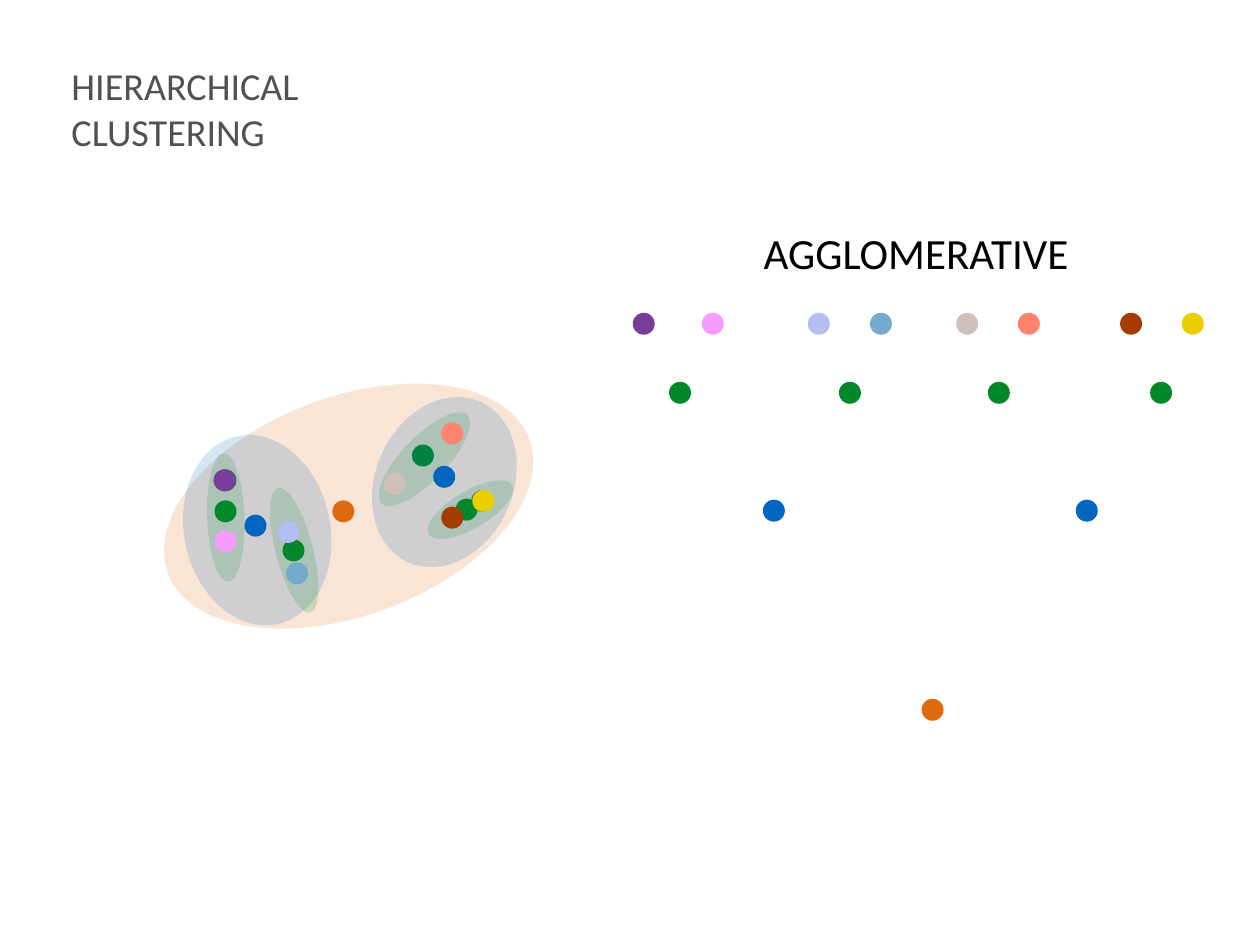
from lxml import etree
from pptx import Presentation
from pptx.dml.color import RGBColor
from pptx.enum.shapes import MSO_SHAPE
from pptx.enum.text import MSO_ANCHOR
from pptx.oxml.ns import qn
from pptx.util import Cm, Pt

OVAL = MSO_SHAPE.OVAL
MIDDLE = MSO_ANCHOR.MIDDLE

COLORS = {
    "orange": "DE6A10", "blue": "0365C0", "green": "00882B", "grey": "53585F",
    "purple": "773F9B", "pink": "F69BFF", "lavender": "B6BDF2", "sky": "75AACF",
    "beige": "D0C0BC", "coral": "FF836F", "brown": "A63D00", "yellow": "EBCE00",
    "title": "515151", "black": "000000",
}
POINTS = ["purple", "pink", "lavender", "sky", "beige", "coral", "brown", "yellow"]
DOT = 0.63
CLUSTER_ALPHA = 17

TEXTS = [
    (["HIERARCHICAL", "CLUSTERING"], (1.9, 1.73, 7.95, 2.74), 31, "title"),
    (["AGGLOMERATIVE"], (21.74, 6.38, 9.98, 1.7), 35, "black"),
]

# color, left, top, then width, height, rotation for clusters
SCATTER = [
    ("orange", 4.47, 11.38, 11.05, 6.27, 339.6),
    ("green", 11.81, 12.75),
    ("blue", 10.77, 11.3, 3.94, 5.05, 24.4),
    ("blue", 5.28, 12.45, 4.19, 5.51, 347.9),
    ("green", 8.1, 15.47),
    ("green", 11.53, 11.4, 1.27, 3.53, 44),
    ("green", 7.9, 13.94, 1.07, 3.68, 345.6),
    ("grey", 13.51, 14.05),
    ("grey", 6.15, 13.46),
    ("orange", 9.53, 14.35),
    ("blue", 7.01, 14.76),
    ("blue", 12.42, 13.36),
    ("green", 5.94, 13, 1.07, 3.68, 358),
    ("green", 12.95, 13.23, 1.07, 2.77, 59.4),
    ("green", 6.15, 14.35),
    ("green", 13.06, 14.3),
    ("purple", 6.12, 13.46),
    ("pink", 6.15, 15.21),
    ("lavender", 7.95, 14.94),
    ("sky", 8.2, 16.13),
    ("beige", 11, 13.56),
    ("coral", 12.65, 12.12),
    ("brown", 12.65, 14.53),
    ("yellow", 13.54, 14.05),
]

TREE = [
    (20.04, ["orange"], [26.42]),
    (14.33, ["blue"] * 2, [21.87, 30.84]),
    (10.95, ["green"] * 4, [19.18, 24.05, 28.32, 32.97]),
    (8.97, POINTS, [18.14, 20.12, 23.16, 24.94, 27.41, 29.18, 32.11, 33.88]),
]


def rgb(name):
    return RGBColor.from_string(COLORS[name])


def add_oval(s, color, left, top, width=DOT, height=DOT, rotation=None):
    sp = s.shapes.add_shape(OVAL, Cm(left), Cm(top), Cm(width), Cm(height))
    sp.shadow.inherit = False
    sp.line.fill.background()
    sp.fill.solid()
    sp.fill.fore_color.rgb = rgb(color)
    if rotation is not None:
        sp.rotation = rotation
        clr = sp.fill._xPr.find(qn("a:solidFill"))[0]
        etree.SubElement(clr, qn("a:alpha")).set("val", str(CLUSTER_ALPHA * 1000))


def add_text(s, lines, box, size, color):
    tf = s.shapes.add_textbox(*map(Cm, box)).text_frame
    frame = {"word_wrap": True, "vertical_anchor": MIDDLE}
    frame.update({f"margin_{side}": Cm(0.15) for side in ("left", "right", "top", "bottom")})
    for key, value in frame.items():
        setattr(tf, key, value)
    for i, line in enumerate(lines):
        p = tf.add_paragraph() if i else tf.paragraphs[0]
        r = p.add_run()
        r.text = line
        for key, value in {"name": "Calibri", "size": Pt(size)}.items():
            setattr(r.font, key, value)
        r.font.color.rgb = rgb(color)


def main():
    prs = Presentation()
    prs.slide_width, prs.slide_height = Cm(36.12), Cm(27.1)
    s = prs.slides.add_slide(prs.slide_layouts[6])
    for text in TEXTS:
        add_text(s, *text)
    for oval in SCATTER:
        add_oval(s, *oval)
    for top, colors, lefts in TREE:
        for color, left in zip(colors, lefts):
            add_oval(s, color, left, top)
    prs.save("out.pptx")


if __name__ == "__main__":
    main()
